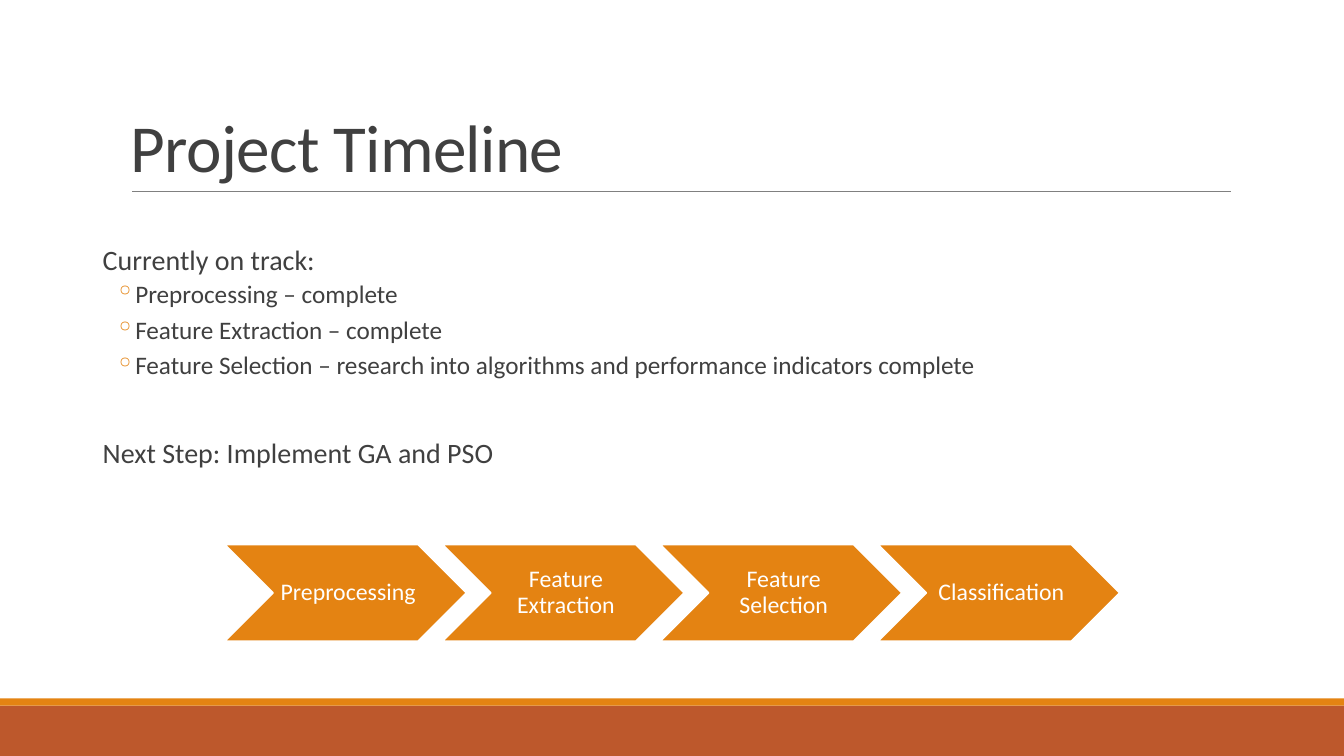
import pptx
import pptx.dml.color
import pptx.enum.shapes
import pptx.enum.text
import pptx.oxml
import pptx.util
from pptx.util import Cm

SHAPES = pptx.enum.shapes.MSO_SHAPE
ANCHORS = pptx.enum.text.MSO_ANCHOR
ALIGNMENTS = pptx.enum.text.PP_ALIGN
ORANGE, RUST, DARK, GRAY, WHITE = "E48312", "BD582C", "404040", "808080", "FFFFFF"
SLIDE_WIDTH, SLIDE_HEIGHT = 33.87, 19.05

STATUS_ITEMS = [
    "Preprocessing – complete",
    "Feature Extraction – complete",
    "Feature Selection – research into algorithms and performance indicators complete",
]
STAGES = ["Preprocessing", "Feature Extraction", "Feature Selection", "Classification"]


def color(value):
    """Turn a hex string into a colour."""
    return pptx.dml.color.RGBColor.from_string(value)


def apply_format(target, values):
    """Set every attribute in the dict on the target."""
    for name, value in values.items():
        setattr(target, name, value)


def add_element(parent, tag, **attributes):
    """Append a drawing element with the given attributes."""
    element = pptx.oxml.parse_xml(f'<a:{tag} xmlns:a="http://schemas.openxmlformats.org/drawingml/2006/main"/>')
    for name, value in attributes.items():
        element.set(name, str(value))
    parent.append(element)
    return element


def write_paragraph(paragraph, text, size, font_color, **spacing):
    """Fill a paragraph with one formatted run and return the run."""
    run = paragraph.add_run()
    run.text = text
    apply_format(run.font, {"name": "Calibri", "size": pptx.util.Pt(size)})
    run.font.color.rgb = color(font_color)
    apply_format(paragraph, spacing)
    return run


def indent(paragraph, left, hanging=0, bullet=None):
    """Indent a paragraph and give it an orange bullet if one is named."""
    properties = paragraph._p.get_or_add_pPr()
    properties.set("marL", str(Cm(left)))
    properties.set("indent", str(-Cm(hanging)))
    if bullet:
        add_element(add_element(properties, "buClr"), "srgbClr", val=ORANGE)
        add_element(properties, "buChar", char=bullet)


def add_filled(slide, kind, left, top, width, height, fill):
    """Add a preset shape with a plain fill and no line."""
    shape = slide.shapes.add_shape(kind, Cm(left), Cm(top), Cm(width), Cm(height))
    shape.shadow.inherit = False
    shape.fill.solid()
    shape.fill.fore_color.rgb = color(fill)
    shape.line.fill.background()
    return shape


def add_footer(slide, left, top, width, height):
    """Draw the two bands along the bottom edge."""
    stripe = 0.18
    add_filled(slide, SHAPES.RECTANGLE, left, top + stripe, width, height - stripe, RUST)
    add_filled(slide, SHAPES.RECTANGLE, left, top, width, stripe, ORANGE)


def add_title(slide, left, top, width, height, text):
    """Place the title with the rule beneath it."""
    rule_left, rule_top = Cm(left + 0.28), Cm(top + height)
    rule = slide.shapes.add_connector(
        pptx.enum.shapes.MSO_CONNECTOR.STRAIGHT, rule_left, rule_top, rule_left + Cm(27.69), rule_top)
    rule.line.color.rgb = color(GRAY)
    rule.line.width = pptx.util.Pt(0.5)
    add_element(rule._element.spPr, "effectLst")
    box = slide.shapes.add_textbox(Cm(left), Cm(top), Cm(width), Cm(height))
    apply_format(box.text_frame, {"word_wrap": True, "vertical_anchor": ANCHORS.BOTTOM})
    run = write_paragraph(box.text_frame.paragraphs[0], text, 48, DARK, line_spacing=0.85)
    run._r.get_or_add_rPr().set("spc", "-50")


def add_status(slide, left, top, width, height, heading, items, next_step):
    """Write the status heading, its bulleted items and the next step."""
    box = slide.shapes.add_textbox(Cm(left), Cm(top), Cm(width), Cm(height))
    frame = box.text_frame
    apply_format(frame, {"word_wrap": True, "margin_left": 0, "margin_right": 0})
    rows = [(heading, 20, 0, 2, (0.25,))]
    rows += [(item, 18, 2, 4, (1.07, 0.51, "◦")) for item in items]
    rows.append((next_step, 20, 38, 2, (0.25,)))
    for index, (text, size, before, after, indentation) in enumerate(rows):
        paragraph = frame.add_paragraph() if index else frame.paragraphs[0]
        indent(paragraph, *indentation)
        write_paragraph(paragraph, text, size, DARK, line_spacing=0.9,
                        space_before=pptx.util.Pt(before), space_after=pptx.util.Pt(after))


def add_process(slide, left, top, width, height, stages):
    """Fit a row of overlapping chevrons into the box, one per stage."""
    step_ratio = 0.9
    chevron_width = width / (1 + step_ratio * (len(stages) - 1))
    margins = {"margin_left": Cm(0.18), "margin_right": Cm(0.05),
               "margin_top": Cm(0.05), "margin_bottom": Cm(0.05)}
    for index, stage in enumerate(stages):
        chevron = add_filled(slide, SHAPES.CHEVRON, left + index * step_ratio * chevron_width,
                             top, chevron_width, height, ORANGE)
        chevron.line.color.rgb = color(WHITE)
        chevron.line.width = pptx.util.Pt(1.25)
        apply_format(chevron.text_frame, {"word_wrap": True, "vertical_anchor": ANCHORS.MIDDLE, **margins})
        write_paragraph(chevron.text_frame.paragraphs[0], stage, 17, WHITE,
                        alignment=ALIGNMENTS.CENTER, line_spacing=0.9)


def main():
    """Build the timeline slide and save it."""
    presentation = pptx.Presentation()
    apply_format(presentation, {"slide_width": Cm(SLIDE_WIDTH), "slide_height": Cm(SLIDE_HEIGHT)})
    slide = presentation.slides.add_slide(presentation.slide_layouts[6])
    add_footer(slide, 0, 17.6, SLIDE_WIDTH, SLIDE_HEIGHT - 17.6)
    add_title(slide, 3.05, 0.79, 27.94, 4.03, "Project Timeline")
    add_status(slide, 2.34, 6.07, 31.12, 12.09, "Currently on track:", STATUS_ITEMS,
               "Next Step: Implement GA and PSO")
    add_process(slide, 5.66, 13.72, 22.56, 2.44, STAGES)
    presentation.save("out.pptx")


if __name__ == "__main__":
    main()
